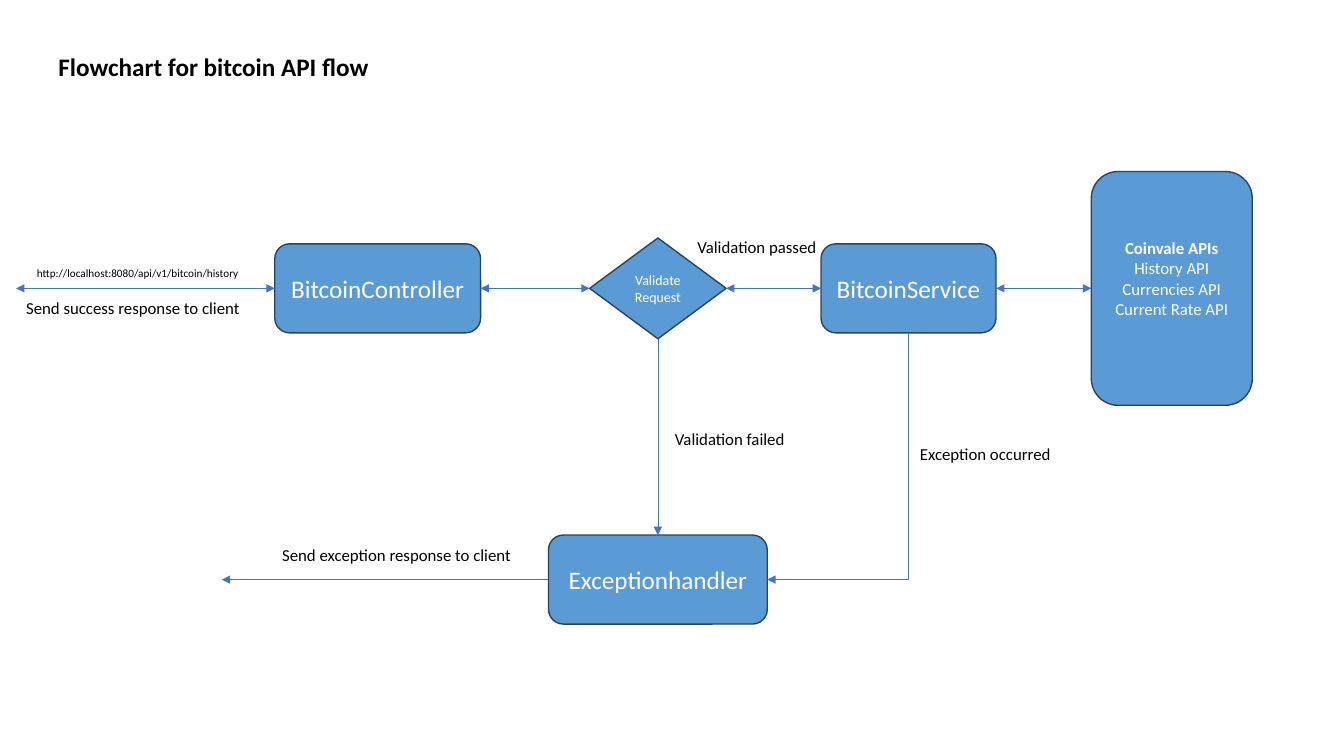
"""Build the flowchart slide for the bitcoin API."""
from lxml import etree
from pptx import Presentation
from pptx.dml.color import RGBColor
from pptx.enum.shapes import MSO_CONNECTOR, MSO_SHAPE
from pptx.enum.text import MSO_ANCHOR, MSO_AUTO_SIZE, PP_ALIGN
from pptx.oxml.ns import qn
from pptx.util import Pt

ROUNDED, DIAMOND = MSO_SHAPE.ROUNDED_RECTANGLE, MSO_SHAPE.DIAMOND
STRAIGHT, ELBOW = MSO_CONNECTOR.STRAIGHT, MSO_CONNECTOR.ELBOW
LEFT, CENTER = PP_ALIGN.LEFT, PP_ALIGN.CENTER
TOP, MIDDLE = MSO_ANCHOR.TOP, MSO_ANCHOR.MIDDLE
SITE_TOP, SITE_LEFT, SITE_BOTTOM, SITE_RIGHT = range(4)

BLACK, WHITE = "000000", "FFFFFF"
BOX_FILL, BOX_EDGE, ARROW = "5B9BD5", "28445D", "4472C4"
FONT = "Calibri"
MAIN_ROW, ERROR_ROW = 206, 414

TITLE = ("Flowchart for bitcoin API flow", 34.5, 33, 238.5, 29)

# key: (lines, shape, left, row, width, height, size)
STEPS = {
    "controller": (["BitcoinController"], ROUNDED, 196.3, MAIN_ROW, 147, 63.6, 18),
    "validate": (["Validate Request"], DIAMOND, 421.2, MAIN_ROW, 97.5, 72, 10),
    "service": (["BitcoinService"], ROUNDED, 586.5, MAIN_ROW, 125, 63.6, 18),
    "apis": (["Coinvale APIs", "History API", "Currencies API", "Current Rate API"],
             ROUNDED, 779.5, MAIN_ROW, 115, 167, 12),
    "handler": (["Exceptionhandler"], ROUNDED, 391.8, ERROR_ROW, 156.3, 63.6, 18),
}

# (text, left, top, width, height, size, alignment)
LABELS = [
    ("http://localhost:8080/api/v1/bitcoin/history", 11.5, 186.5, 174, 17, 8, CENTER),
    ("Send success response to client", 11.5, 209, 167, 36, 12, CENTER),
    ("Validation passed", 491, 165.5, 111.6, 21.8, 12, LEFT),
    ("Validation failed", 475, 302.4, 111.6, 21.8, 12, LEFT),
    ("Exception occurred", 648, 313.2, 111.6, 21.8, 12, CENTER),
    ("Send exception response to client", 185.8, 385.5, 195, 21.8, 12, CENTER),
]

# (from, site, to, site, arrows at both ends)
LINKS = [
    ("controller", SITE_RIGHT, "validate", SITE_LEFT, True),
    ("validate", SITE_RIGHT, "service", SITE_LEFT, True),
    ("service", SITE_RIGHT, "apis", SITE_LEFT, True),
    ("validate", SITE_BOTTOM, "handler", SITE_TOP, False),
]

# (from, x at the client, row, arrows at both ends)
CLIENT_LINKS = [
    ("controller", 11.5, MAIN_ROW, True),
    ("handler", 158.5, ERROR_ROW, False),
]


def color(value):
    return RGBColor.from_string(value)


def write(frame, lines, size, ink, alignment, anchor, bold_first=False):
    frame.word_wrap = True
    frame.vertical_anchor = anchor
    frame.text = "\n".join(lines)
    for index, paragraph in enumerate(frame.paragraphs):
        paragraph.alignment = alignment
        paragraph.font.name = FONT
        paragraph.font.size = Pt(size)
        paragraph.font.bold = bold_first and index == 0
        paragraph.font.color.rgb = color(ink)


def add_step(slide, lines, kind, left, row, width, height, size):
    step = slide.shapes.add_shape(kind, Pt(left), Pt(row - height / 2), Pt(width), Pt(height))
    step.shadow.inherit = False
    step.fill.solid()
    step.fill.fore_color.rgb = color(BOX_FILL)
    step.line.color.rgb = color(BOX_EDGE)
    step.line.width = Pt(1)
    write(step.text_frame, lines, size, WHITE, CENTER, MIDDLE, len(lines) > 1)
    return step


def add_arrow(slide, kind, both_ends):
    arrow = slide.shapes.add_connector(kind, 0, 0, 0, 0)
    arrow.line.color.rgb = color(ARROW)
    arrow.line.width = Pt(0.5)
    line = arrow.line._get_or_add_ln()
    for end in ("a:headEnd", "a:tailEnd") if both_ends else ("a:tailEnd",):
        etree.SubElement(line, qn(end), type="triangle")
    etree.SubElement(arrow._element.spPr, qn("a:effectLst"))
    return arrow


def add_exception_arrow(slide, service, handler):
    arrow = add_arrow(slide, ELBOW, False)
    arrow.begin_connect(service, SITE_BOTTOM)
    arrow.end_connect(handler, SITE_RIGHT)
    start_x, start_y = service.left + service.width // 2, service.top + service.height
    end_x, end_y = handler.left + handler.width, handler.top + handler.height // 2
    drop, run = end_y - start_y, start_x - end_x
    properties = arrow._element.spPr
    properties.find(qn("a:prstGeom")).set("prst", "bentConnector2")
    transform = properties.find(qn("a:xfrm"))
    for flip in ("flipH", "flipV"):
        transform.attrib.pop(flip, None)
    transform.set("rot", "5400000")
    arrow.left, arrow.top = (start_x + end_x - drop) // 2, (start_y + end_y - run) // 2
    arrow.width, arrow.height = drop, run


def main():
    deck = Presentation()
    deck.slide_width, deck.slide_height = Pt(960), Pt(540)
    slide = deck.slides.add_slide(deck.slide_layouts[5])

    heading, *bounds = TITLE
    title = slide.shapes.title
    title.left, title.top, title.width, title.height = map(Pt, bounds)
    write(title.text_frame, [heading], 18, BLACK, LEFT, TOP, True)
    title.text_frame.auto_size = MSO_AUTO_SIZE.NONE

    steps = {key: add_step(slide, *step) for key, step in STEPS.items()}
    steps["apis"].text_frame.margin_bottom = Pt(18)

    for begin, begin_site, end, end_site, both_ends in LINKS:
        arrow = add_arrow(slide, STRAIGHT, both_ends)
        arrow.begin_connect(steps[begin], begin_site)
        arrow.end_connect(steps[end], end_site)

    for begin, client_x, row, both_ends in CLIENT_LINKS:
        arrow = add_arrow(slide, STRAIGHT, both_ends)
        arrow.begin_connect(steps[begin], SITE_LEFT)
        arrow.end_x, arrow.end_y = Pt(client_x), Pt(row)

    add_exception_arrow(slide, steps["service"], steps["handler"])

    for text, left, top, width, height, size, alignment in LABELS:
        label = slide.shapes.add_textbox(Pt(left), Pt(top), Pt(width), Pt(height))
        write(label.text_frame, [text], size, BLACK, alignment, TOP)

    deck.save("out.pptx")


if __name__ == "__main__":
    main()
